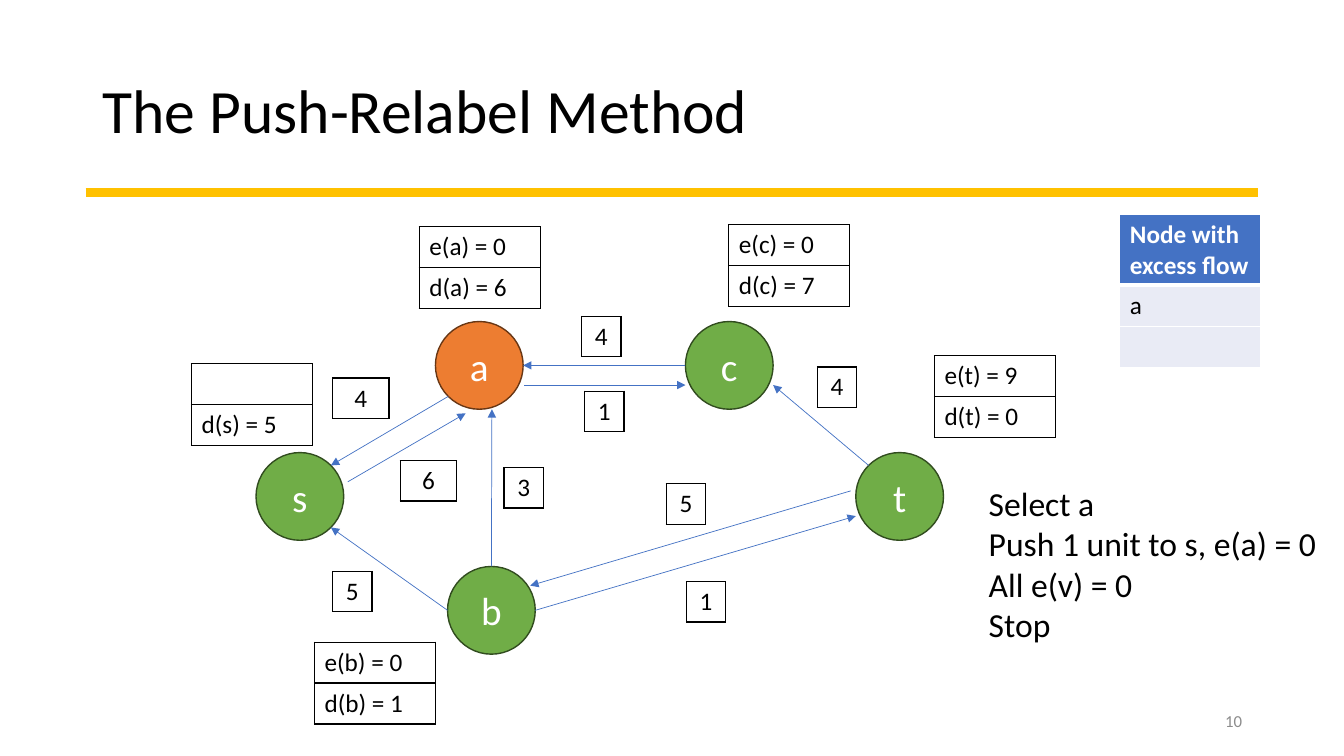
from math import cos, radians, sin

from pptx import Presentation
from pptx.dml.color import RGBColor
from pptx.enum.shapes import MSO_CONNECTOR, MSO_SHAPE
from pptx.enum.text import MSO_ANCHOR as Anchor, PP_ALIGN as Align
from pptx.oxml import parse_xml
from pptx.oxml.ns import nsdecls
from pptx.util import Inches, Pt

BLACK = RGBColor(0x00, 0x00, 0x00)
WHITE = RGBColor(0xFF, 0xFF, 0xFF)
GREY = RGBColor(0x8C, 0x8C, 0x8C)
BLUE = RGBColor(0x44, 0x72, 0xC4)
PALE = RGBColor(0xE9, 0xEB, 0xF5)
GOLD = RGBColor(0xFF, 0xC1, 0x00)
GREEN = RGBColor(0x70, 0xAD, 0x47)
DARK_GREEN = RGBColor(0x31, 0x4C, 0x1F)
ORANGE = RGBColor(0xED, 0x7D, 0x31)
DARK_ORANGE = RGBColor(0x68, 0x37, 0x15)

UNIT = Inches(0.1)
COLUMNS, ROWS = 133.33, 75
DIAMETER = 8.7
CELL_HEIGHT = 4.06

NODES = {"s": (25.4, 44.9), "a": (43.2, 31.9), "b": (44.4, 56.2),
         "c": (68, 31.9), "t": (84.9, 44.9)}
EDGES = [(("b", 180), ("s", 45)), (("a", 135), ("s", -45)),
         (("b", -90), (48.8, 40.6)), (("c", 180), ("a", 0)),
         (("b", 0), (84.9, 51.2)), (("t", -135), (76.7, 38.2)),
         ((34.5, 47.8), (46.2, 41)), ((84.4, 48.7), (52.6, 58.1)),
         ((52, 38.2), (68, 38.2))]
STATES = [(19, 36.1, "", "d(s) = 5"), (41.6, 22.5, "e(a) = 0", "d(a) = 6"),
          (31.2, 63.7, "e(b) = 0", "d(b) = 1"),
          (72.3, 22.3, "e(c) = 0", "d(c) = 7"),
          (92.7, 35.3, "e(t) = 9", "d(t) = 0")]
NARROW, WIDE = 3.9, 5.6
CAPACITIES = [(33, 37.5, WIDE, "4"), (33, 56.7, NARROW, "5"),
              (68.1, 57.7, NARROW, "1"), (50, 46.4, NARROW, "3"),
              (57.7, 31.4, NARROW, "4"), (81.1, 36.4, NARROW, "4"),
              (39.7, 45.7, WIDE, "6"), (66.1, 48, NARROW, "5"),
              (58, 38.8, NARROW, "1")]
STEPS = ["Select a", "Push 1 unit to s, e(a) = 0", "All e(v) = 0", "Stop"]


def grid(*lengths):
    """Turn grid units into slide lengths."""
    return [round(length * UNIT) for length in lengths]


def write(frame, lines, size, color=BLACK, bold=False, **layout):
    """Fill a text frame with one formatted paragraph per line."""
    font_format = {"name": "Calibri", "size": Pt(size), "bold": bold}
    for index, line in enumerate(lines):
        paragraph = frame.add_paragraph() if index else frame.paragraphs[0]
        paragraph.text = line
        for name, value in layout.items():
            setattr(paragraph, name, value)
        for name, value in font_format.items():
            setattr(paragraph.font, name, value)
        paragraph.font.color.rgb = color


def add_text(slide, place, lines, size, anchor=Anchor.TOP, **text_format):
    """Add a wrapping text box."""
    frame = slide.shapes.add_textbox(*grid(*place)).text_frame
    frame.word_wrap = True
    frame.vertical_anchor = anchor
    write(frame, lines, size, **text_format)


def add_node(slide, name, fill, outline):
    """Add a named graph node."""
    place = grid(*NODES[name], DIAMETER, DIAMETER)
    shape = slide.shapes.add_shape(MSO_SHAPE.OVAL, *place)
    shape.shadow.inherit = False
    shape.fill.solid()
    shape.fill.fore_color.rgb = fill
    shape.line.color.rgb = outline
    shape.line.width = Pt(1)
    shape.text_frame.vertical_anchor = Anchor.MIDDLE
    write(shape.text_frame, [name], 28, WHITE, alignment=Align.CENTER)


def locate(end):
    """Resolve a node name and angle to a rim point; pass points through."""
    if end[0] not in NODES:
        return end
    left, top = NODES[end[0]]
    angle, radius = radians(end[1]), DIAMETER / 2
    return (left + radius * (1 + cos(angle)), top + radius * (1 + sin(angle)))


def add_line(slide, start, finish, color, width, arrow=False):
    """Add a straight line, optionally ending in an arrowhead."""
    connector = slide.shapes.add_connector(
        MSO_CONNECTOR.STRAIGHT, *grid(*locate(start), *locate(finish)))
    connector.line.color.rgb = color
    connector.line.width = Pt(width)
    if arrow:
        connector.line._get_or_add_ln().append(
            parse_xml(f'<a:tailEnd {nsdecls("a")} type="triangle"/>'))
    connector._element.spPr.append(
        parse_xml(f'<a:effectLst {nsdecls("a")}/>'))


def set_borders(cell, color, top=1, bottom=1):
    """Draw the four borders of a table cell."""
    properties = cell._tc.get_or_add_tcPr()
    for side, width in {"L": 1, "R": 1, "T": top, "B": bottom}.items():
        properties.append(parse_xml(
            f'<a:ln{side} {nsdecls("a")} w="{Pt(width)}"><a:solidFill>'
            f'<a:srgbClr val="{color}"/></a:solidFill></a:ln{side}>'))


def add_table(slide, left, top, width, heights, texts, fill=None,
              border=BLACK, header=False, **text_format):
    """Add a one-column table, optionally with a header cell."""
    place = grid(left, top, width, sum(heights))
    table = slide.shapes.add_table(len(texts), 1, *place).table
    table.first_row = table.horz_banding = False
    for index, (height, text) in enumerate(zip(heights, texts)):
        table.rows[index].height = grid(height)[0]
        cell = table.cell(index, 0)
        is_header = header and index == 0
        set_borders(cell, border, top=3 if header and index == 1 else 1,
                    bottom=3 if is_header else 1)
        if fill is None:
            cell.fill.background()
        else:
            cell.fill.solid()
            cell.fill.fore_color.rgb = BLUE if is_header else fill
        write(cell.text_frame, [text], 18, WHITE if is_header else BLACK,
              bold=is_header, **text_format)


def main():
    """Build the slide and save it."""
    presentation = Presentation()
    presentation.slide_width, presentation.slide_height = grid(COLUMNS, ROWS)
    slide = presentation.slides.add_slide(presentation.slide_layouts[6])

    add_text(slide, (9.2, 4, 115, 14.5), ["The Push-Relabel Method"], 44,
             Anchor.MIDDLE, line_spacing=0.9)
    add_line(slide, (8.5, 19.1), (124.8, 19.1), GOLD, 7)
    for name in NODES:
        colors = (ORANGE, DARK_ORANGE) if name == "a" else (GREEN, DARK_GREEN)
        add_node(slide, name, *colors)
    for start, finish in EDGES:
        add_line(slide, start, finish, BLUE, 0.5, arrow=True)
    for left, top, *texts in STATES:
        add_table(slide, left, top, 12, [CELL_HEIGHT] * 2, texts)
    for left, top, width, capacity in CAPACITIES:
        add_table(slide, left, top, width, [4], [capacity], WHITE,
                  alignment=Align.CENTER)
    add_text(slide, (97.1, 47.4, 35.1, 21.2), STEPS, 24)
    add_table(slide, 111.1, 21.3, 14, [7, CELL_HEIGHT, CELL_HEIGHT],
              ["Node with excess flow", "a", ""], PALE, WHITE, header=True)
    add_text(slide, (94.2, 69.5, 30, 4), ["10"], 12, Anchor.MIDDLE,
             color=GREY, alignment=Align.RIGHT)
    presentation.save("out.pptx")


if __name__ == "__main__":
    main()
